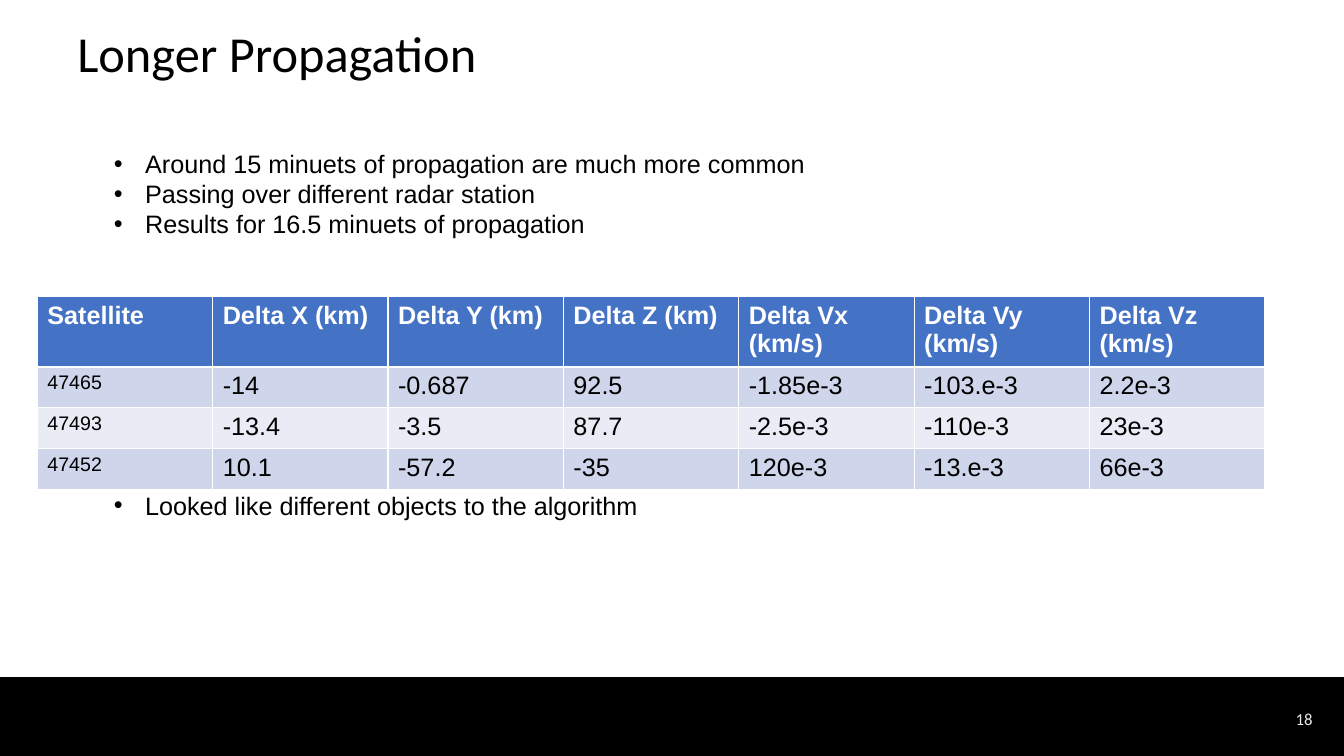
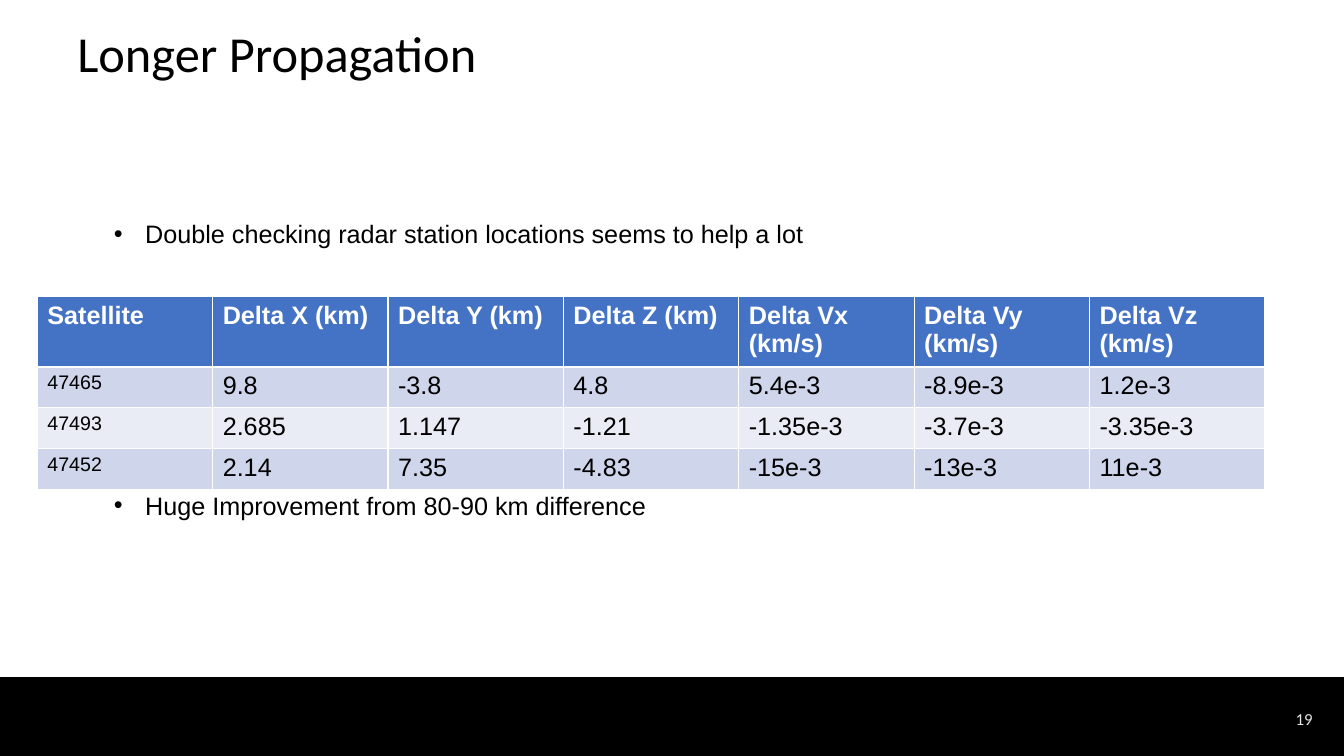
from dataclasses import dataclass
from typing import NamedTuple

from lxml import etree
from pptx import Presentation
from pptx import util as u
from pptx.dml.color import RGBColor
from pptx.enum import shapes, text
from pptx.oxml import ns

BLACK = RGBColor(0x00, 0x00, 0x00)
WHITE = RGBColor(0xFF, 0xFF, 0xFF)
PALE = RGBColor(0xE7, 0xE6, 0xE6)
BLUE = RGBColor(0x44, 0x72, 0xC4)
BANDS = (RGBColor(0xCF, 0xD5, 0xEA), RGBColor(0xE9, 0xEB, 0xF5))

HEAD, BODY = "Calibri", "Arial"
CELL = u.Inches(1) // 6
COLS, ROWS = 80, 45
LINE, PAD = 1.82, 0.6
HANG = u.Inches(0.31)


class Box(NamedTuple):
    col: float
    row: float
    wide: float
    high: float

    def emu(self) -> list[u.Emu]:
        return [u.Emu(round(n * CELL)) for n in self]


@dataclass(frozen=True)
class Page:
    num: int
    title: str
    top: float
    points: tuple[str, ...]
    data: tuple[tuple[str, ...], ...]
    note: str


BAND = Box(0, 40.32, COLS, 4.68)
NUMBER = Box(60.72, 41.58, 18, 2.4)
TITLE = Box(4, 1, 69.5, 4.68)
TABLE = Box(2.22, 17.64, 73.08, 9.72)
LEFT, WIDE, NOTE = 6.18, 51.5, 28.86

HEADS = ("Satellite", "Delta X (km)", "Delta Y (km)", "Delta Z (km)",
         "Delta Vx (km/s)", "Delta Vy (km/s)", "Delta Vz (km/s)")

PAGES = (
    Page(18, "Longer Propagation", 8.52,
         ("Around 15 minuets of propagation are much more common",
          "Passing over different radar station",
          "Results for 16.5 minuets of propagation"),
         (("47465", "-14", "-0.687", "92.5", "-1.85e-3", "-103.e-3", "2.2e-3"),
          ("47493", "-13.4", "-3.5", "87.7", "-2.5e-3", "-110e-3", "23e-3"),
          ("47452", "10.1", "-57.2", "-35", "120e-3", "-13.e-3", "66e-3")),
         "Looked like different objects to the algorithm"),
    Page(19, "Longer Propagation", 12.72,
         ("Double checking radar station locations seems to help a lot",),
         (("47465", "9.8", "-3.8", "4.8", "5.4e-3", "-8.9e-3", "1.2e-3"),
          ("47493", "2.685", "1.147", "-1.21", "-1.35e-3", "-3.7e-3", "-3.35e-3"),
          ("47452", "2.14", "7.35", "-4.83", "-15e-3", "-13e-3", "11e-3")),
         "Huge Improvement from 80-90 km difference"),
)


def style(para, size: int, color: RGBColor = BLACK, name: str = BODY,
          bold: bool = False) -> None:
    font = para.font
    font.size, font.name, font.bold = u.Pt(size), name, bold
    font.color.rgb = color


def place(shape, box: Box) -> None:
    shape.left, shape.top, shape.width, shape.height = box.emu()


def add_title(slide, words: str) -> None:
    title = slide.shapes.title
    place(title, TITLE)
    frame = title.text_frame
    frame.text = words
    frame.auto_size = text.MSO_AUTO_SIZE.NONE
    frame.vertical_anchor = text.MSO_ANCHOR.MIDDLE
    para = frame.paragraphs[0]
    para.alignment = text.PP_ALIGN.LEFT
    para.line_spacing = 0.9
    style(para, 36, name=HEAD)


def add_list(shape, top: float, lines: tuple[str, ...]) -> None:
    place(shape, Box(LEFT, top, WIDE, PAD + LINE * len(lines)))
    frame = shape.text_frame
    frame.text = "\n".join(lines)
    frame.auto_size = text.MSO_AUTO_SIZE.SHAPE_TO_FIT_TEXT
    for para in frame.paragraphs:
        para.space_before = u.Pt(0)
        props = para._p.get_or_add_pPr()
        props.set("marL", str(HANG))
        props.set("indent", str(-HANG))
        style(para, 18)


def fill_cell(cell, words: str, fill: RGBColor, size: int,
              color: RGBColor, bold: bool) -> None:
    cell.text = words
    cell.fill.solid()
    cell.fill.fore_color.rgb = fill
    style(cell.text_frame.paragraphs[0], size, color, bold=bold)


def add_grid(slide, data: tuple[tuple[str, ...], ...]) -> None:
    table = slide.shapes.add_table(len(data) + 1, len(HEADS), *TABLE.emu()).table
    for col, words in enumerate(HEADS):
        fill_cell(table.cell(0, col), words, BLUE, 18, WHITE, True)
    for row, line in enumerate(data):
        for col, words in enumerate(line):
            fill_cell(table.cell(row + 1, col), words, BANDS[row % 2],
                      18 if col else 14, BLACK, False)


def outline(run, color: RGBColor, width: float) -> None:
    line = etree.Element(ns.qn("a:ln"), w=str(u.Pt(width)))
    fill = etree.SubElement(line, ns.qn("a:solidFill"))
    etree.SubElement(fill, ns.qn("a:srgbClr"), val=str(color))
    run._r.get_or_add_rPr().insert(0, line)


def add_foot(slide, num: int) -> None:
    band = slide.shapes.add_shape(shapes.MSO_SHAPE.RECTANGLE, *BAND.emu())
    band.shadow.inherit = False
    band.fill.solid()
    band.fill.fore_color.rgb = BLACK
    band.line.color.rgb = BLACK
    band.line.width = u.Pt(1)
    frame = slide.shapes.add_textbox(*NUMBER.emu()).text_frame
    frame.word_wrap = True
    frame.vertical_anchor = text.MSO_ANCHOR.MIDDLE
    frame.text = str(num)
    para = frame.paragraphs[0]
    para.alignment = text.PP_ALIGN.RIGHT
    style(para, 12, PALE, HEAD)
    outline(para.runs[0], PALE, 0.75)


def add_page(deck, page: Page) -> None:
    slide = deck.slides.add_slide(deck.slide_layouts.get_by_name("Two Content"))
    _, points, note = slide.placeholders
    add_foot(slide, page.num)
    add_title(slide, page.title)
    add_list(points, page.top, page.points)
    add_grid(slide, page.data)
    add_list(note, NOTE, (page.note,))


def main() -> None:
    deck = Presentation()
    deck.slide_width, deck.slide_height = COLS * CELL, ROWS * CELL
    for page in PAGES:
        add_page(deck, page)
    deck.save("out.pptx")


if __name__ == "__main__":
    main()
